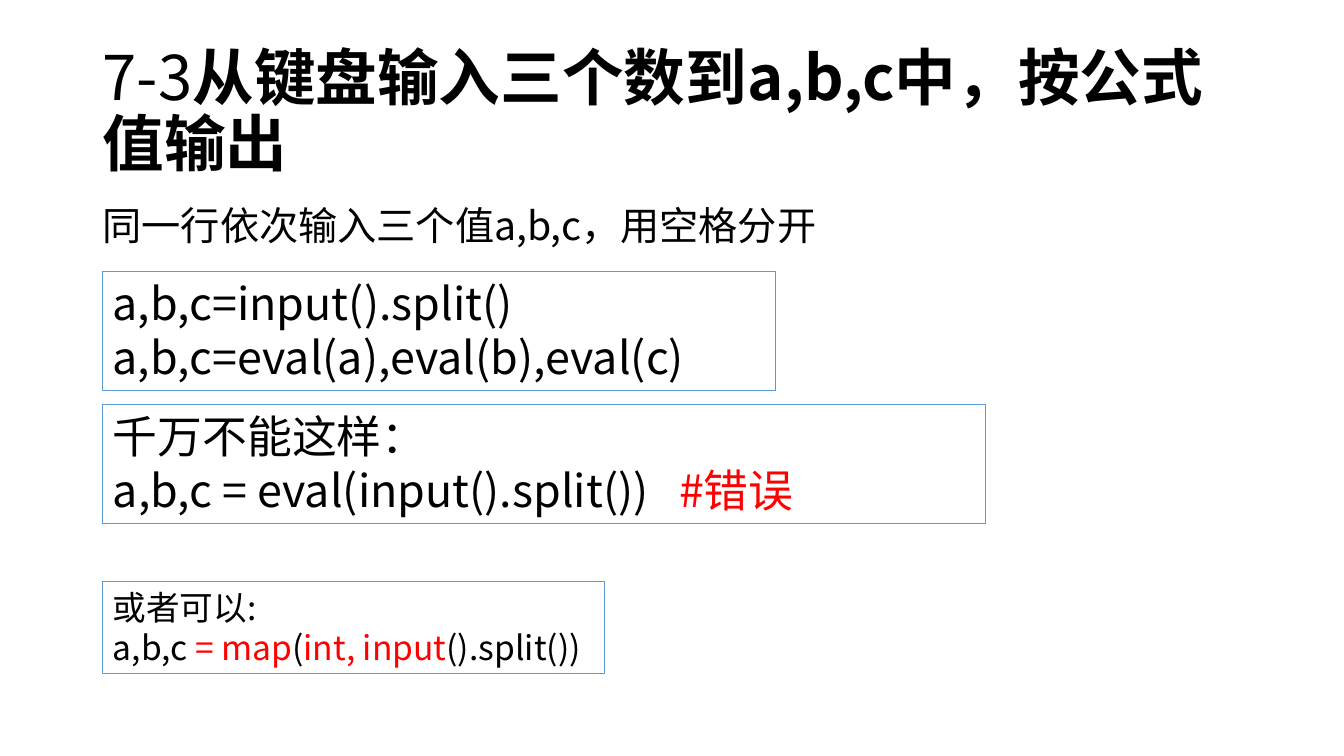
from pptx import Presentation, util as u
from pptx.dml.color import RGBColor
from pptx.enum import shapes, text
from pptx.oxml.ns import qn
from lxml import etree

FONT = "Noto Sans CJK SC"
HUES = {"ink": "000000", "red": "FF0000", "edge": "5B9BD5"}
WIDE, HIGH = 13.33, 7.5
LEFT, EDGE = 0.92, 1.02

HEADS = [
    (0.4, 1.45, 44, "MIDDLE", [("7-3", "ink", False),
     ("从键盘输入三个数到a,b,c中，按公式值输出", "ink", True)]),
    (2, 4.76, 28, "TOP", [("同一行依次输入三个值a,b,c，用空格分开", "ink", False)]),
]
CODE = [
    (2.69, 6.67, 1.18, 32, True, [
        [("a,b,c=input().split()", "ink")],
        [("a,b,c=eval(a),eval(b),eval(c)", "ink")]]),
    (4.01, 8.75, 1.18, 32, True, [
        [("千万不能这样：", "ink")],
        [("a,b,c = eval(input().split())   ", "ink"), ("#错误", "red")]]),
    (5.77, 4.98, 0.91, 24, False, [
        [("或者可以:", "ink")],
        [("a,b,c ", "ink"), ("= map", "red"), ("(", "ink"),
         ("int, input", "red"), ("().split())", "ink")]]),
]


def hue(name):
    return RGBColor.from_string(HUES[name])


def add_run(para, words, size, tint, bold=False):
    run = para.add_run()
    run.text = words
    font = run.font
    font.size, font.bold, font.name = u.Pt(size), bold, FONT
    font.color.rgb = hue(tint)
    east = etree.SubElement(run._r.get_or_add_rPr(), qn("a:ea"))
    east.set("typeface", FONT)


def add_head(slide, top, high, size, anchor, runs):
    box = slide.shapes.add_textbox(
        u.Inches(LEFT), u.Inches(top), u.Inches(WIDE - 2 * LEFT), u.Inches(high))
    frame = box.text_frame
    frame.word_wrap = True
    frame.vertical_anchor = text.MSO_ANCHOR[anchor]
    para = frame.paragraphs[0]
    para.line_spacing = 0.9
    for words, tint, bold in runs:
        add_run(para, words, size, tint, bold)


def add_code(slide, top, wide, high, size, wrap, lines):
    box = slide.shapes.add_shape(
        shapes.MSO_SHAPE.RECTANGLE,
        u.Inches(EDGE), u.Inches(top), u.Inches(wide), u.Inches(high))
    box.shadow.inherit = False
    box.fill.background()
    box.line.color.rgb = hue("edge")
    box.line.width = u.Pt(0.75)
    frame = box.text_frame
    frame.word_wrap = wrap
    frame.auto_size = text.MSO_AUTO_SIZE.SHAPE_TO_FIT_TEXT
    frame.vertical_anchor = text.MSO_ANCHOR.TOP
    for i, runs in enumerate(lines):
        para = frame.add_paragraph() if i else frame.paragraphs[0]
        para.alignment = text.PP_ALIGN.LEFT
        for words, tint in runs:
            add_run(para, words, size, tint)


def main():
    deck = Presentation()
    deck.slide_width, deck.slide_height = u.Inches(WIDE), u.Inches(HIGH)
    slide = deck.slides.add_slide(deck.slide_layouts[6])
    for head in HEADS:
        add_head(slide, *head)
    for code in CODE:
        add_code(slide, *code)
    deck.save("out.pptx")


if __name__ == "__main__":
    main()
